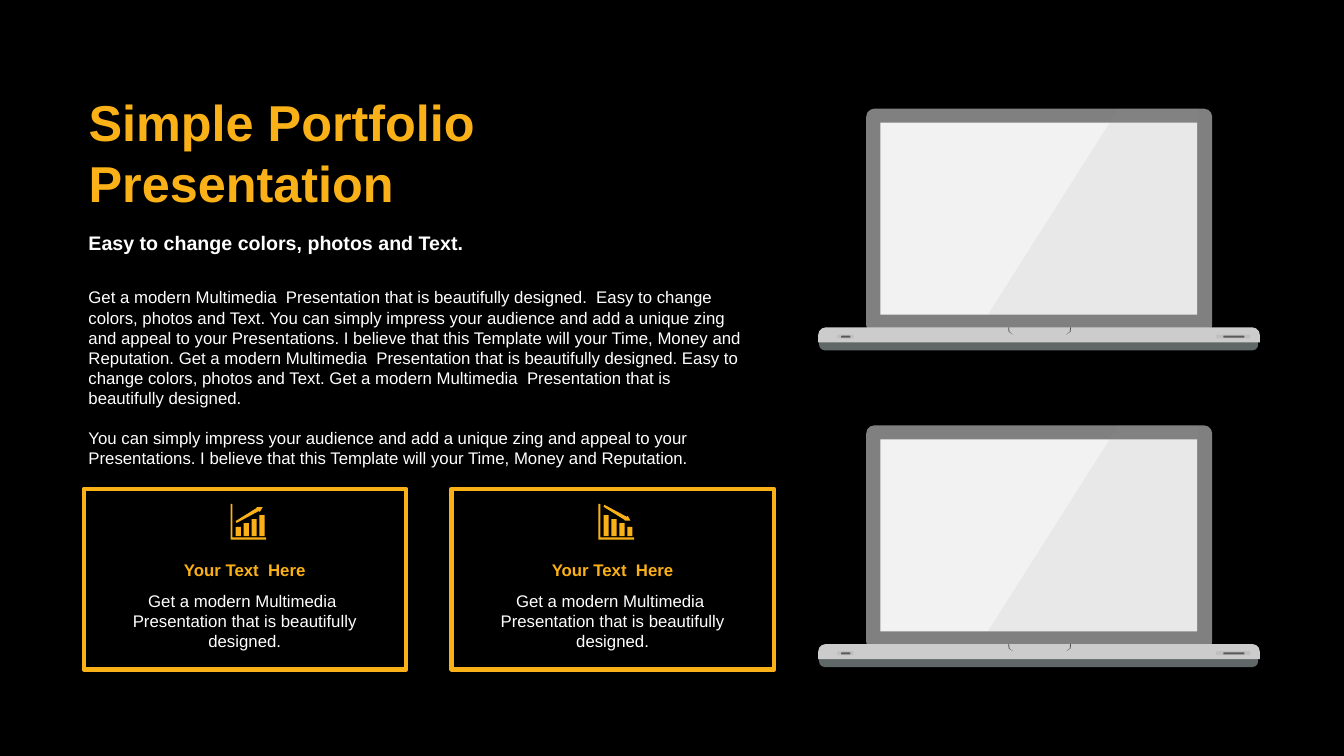
from dataclasses import dataclass

from lxml import etree
from pptx import Presentation
from pptx.dml.color import RGBColor
from pptx.enum import shapes, text
from pptx.oxml import ns
from pptx.util import Cm, Pt

GOLD, WHITE = "FAB117", "FFFFFF"
RECT = shapes.MSO_SHAPE.RECTANGLE
ROUND = shapes.MSO_SHAPE.ROUNDED_RECTANGLE
ROUND_SIDE = shapes.MSO_SHAPE.ROUND_2_SAME_RECTANGLE
Points = list[tuple[float, float]]


@dataclass
class Part:
    """A preset shape of the laptop, in cm from the laptop's corner."""
    kind: int
    x: float
    y: float
    w: float
    h: float
    color: str
    adj: tuple[float, ...] = ()


@dataclass
class Card:
    x: float
    rising: bool


LAPTOP = [
    Part(ROUND_SIDE, 0.02, 5.79, 11.07, 0.3, "5F6767", (0, 0.5)),  # foot
    Part(ROUND, 1.21, 0, 8.72, 5.66, "808080", (0.036,)),  # lid
    Part(RECT, 1.57, 0.35, 7.98, 4.84, "F2F2F2"),  # screen
    Part(ROUND_SIDE, 0, 5.51, 11.13, 0.38, "CCCCCC", (0.5, 0)),  # base
    Part(ROUND, 0.48, 5.69, 0.41, 0.1, "BFBFBF", (0.28,)),  # left slot
    Part(ROUND, 0.58, 5.72, 0.23, 0.05, "595959", (0.28,)),
    Part(ROUND, 10.03, 5.69, 0.86, 0.1, "BFBFBF", (0.28,)),  # right slot
    Part(ROUND, 10.21, 5.72, 0.53, 0.05, "595959", (0.28,)),
]
GLARE = [(7.57, 0), (9.58, 0), (9.55, 5.2), (4.27, 5.2)]
NOTCH_LEFT = [(4.79, 5.51), (4.81, 5.51), (4.82, 5.62), (4.91, 5.69), (4.8, 5.62)]
NOTCH_RIGHT = [(11.16 - x, y) for x, y in NOTCH_LEFT]
AXES = [(0, 0), (0.05, 0), (0.05, 0.84), (0.9, 0.84), (0.9, 0.9), (0, 0.9)]
ARROW = [(0.66, 0.08), (0.81, 0.08), (0.74, 0.2), (0.71, 0.18),
         (0.15, 0.48), (0.13, 0.43), (0.66, 0.1)]
CARDS = [Card(2.11, True), Card(11.38, False)]


def paint(item, color: str) -> None:
    """Apply a solid colour to a fill."""
    item.solid()
    item.fore_color.rgb = RGBColor.from_string(color)


def add_preset(s, part: Part, x: float, y: float) -> None:
    sp = s.shapes.add_shape(part.kind, Cm(x + part.x), Cm(y + part.y),
                            Cm(part.w), Cm(part.h))
    sp.shadow.inherit = False
    for i, value in enumerate(part.adj):
        sp.adjustments[i] = value
    paint(sp.fill, part.color)
    sp.line.fill.background()


def add_outline(s, contours: list[Points], x: float, y: float, color: str):
    """Draw closed contours as one filled freeform."""
    rings = [[(Cm(x + px), Cm(y + py)) for px, py in ring] for ring in contours]
    builder = s.shapes.build_freeform(*rings[0][0])
    builder.add_line_segments(rings[0][1:])
    for ring in rings[1:]:
        builder.move_to(*ring[0])
        builder.add_line_segments(ring[1:])
    sp = builder.convert_to_shape()
    sp.shadow.inherit = False
    paint(sp.fill, color)
    sp.line.fill.background()
    return sp


def write(sp, lines: list[str], size: float, color: str, bold: bool = False,
          center: bool = False, gap: float = 0) -> None:
    tf = sp.text_frame
    tf.word_wrap = True
    tf.auto_size = text.MSO_AUTO_SIZE.NONE
    tf.vertical_anchor = text.MSO_ANCHOR.TOP
    tf.text = "\n".join(lines)
    for i, p in enumerate(tf.paragraphs):
        p.alignment = text.PP_ALIGN.CENTER if center else text.PP_ALIGN.LEFT
        p.space_before = Pt(gap if i else 0)
        p.font.name, p.font.size, p.font.bold = "Arial", Pt(size), bold
        paint(p.font.fill, color)


def add_text(s, x: float, y: float, w: float, h: float, lines: list[str],
             size: float, color: str, **style) -> None:
    sp = s.shapes.add_textbox(Cm(x), Cm(y), Cm(w), Cm(h))
    write(sp, lines, size, color, **style)


def add_laptop(s, x: float, y: float) -> None:
    for part in LAPTOP:
        add_preset(s, part, x, y)
    add_outline(s, [NOTCH_LEFT, NOTCH_RIGHT], x, y, "4D4D4D")
    glare = add_outline(s, [GLARE], x, y, "999999")
    rgb = glare.fill._xPr.find(".//" + ns.qn("a:srgbClr"))
    etree.SubElement(rgb, ns.qn("a:alpha"), val="10000")


def add_chart_icon(s, x: float, y: float, rising: bool) -> None:
    bars = []
    for i in range(4):
        left = 0.13 + 0.2 * i
        top = 0.58 - 0.1 * (i if rising else 3 - i)
        bars.append([(left, top), (left + 0.13, top),
                     (left + 0.13, 0.81), (left, 0.81)])
    arrow = ARROW if rising else [(px, 0.5 - py) for px, py in ARROW]
    add_outline(s, [AXES, *bars, arrow], x, y, GOLD)


def add_card(s, card: Card) -> None:
    frame = s.shapes.add_shape(RECT, Cm(card.x), Cm(12.32), Cm(8.13), Cm(4.55))
    frame.shadow.inherit = False
    frame.fill.background()
    paint(frame.line.fill, GOLD)
    frame.line.width = Pt(3)
    add_text(s, card.x + 0.43, 14.76, 7.26, 1.8,
             ["Get a modern Multimedia  Presentation that is beautifully designed."],
             12, WHITE, center=True)
    add_text(s, card.x + 0.43, 13.97, 7.26, 0.76, ["Your Text  Here"],
             12, GOLD, bold=True, center=True)
    add_chart_icon(s, card.x + 3.7, 12.7, card.rising)


def main() -> None:
    prs = Presentation()
    prs.slide_width, prs.slide_height = Cm(33.87), Cm(19.05)
    s = prs.slides.add_slide(prs.slide_layouts[5])
    paint(s.background.fill, "000000")

    # Laptops
    for row in range(2):
        add_laptop(s, 20.62, 2.74 + 7.98 * row)

    # Title and body
    title = s.shapes.title
    title.left, title.top, title.width, title.height = Cm(1.98), Cm(2.18), Cm(10.8), Cm(3.33)
    write(title, ["Simple Portfolio", "Presentation"], 36, GOLD, bold=True)
    add_text(s, 1.98, 5.69, 10.8, 0.86, ["Easy to change colors, photos and Text."],
             14, WHITE, bold=True)
    add_text(s, 1.98, 7.11, 17.2, 4.88, [
        "Get a modern Multimedia  Presentation that is beautifully designed.  Easy to "
        "change colors, photos and Text. You can simply impress your audience and add "
        "a unique zing and appeal to your Presentations. I believe that this Template "
        "will your Time, Money and Reputation. Get a modern Multimedia  Presentation "
        "that is beautifully designed. Easy to change colors, photos and Text. Get a "
        "modern Multimedia  Presentation that is beautifully designed.",
        "You can simply impress your audience and add a unique zing and appeal to your "
        "Presentations. I believe that this Template will your Time, Money and Reputation.",
    ], 12, WHITE, gap=14)

    # Cards
    for card in CARDS:
        add_card(s, card)
    prs.save("out.pptx")


if __name__ == "__main__":
    main()
